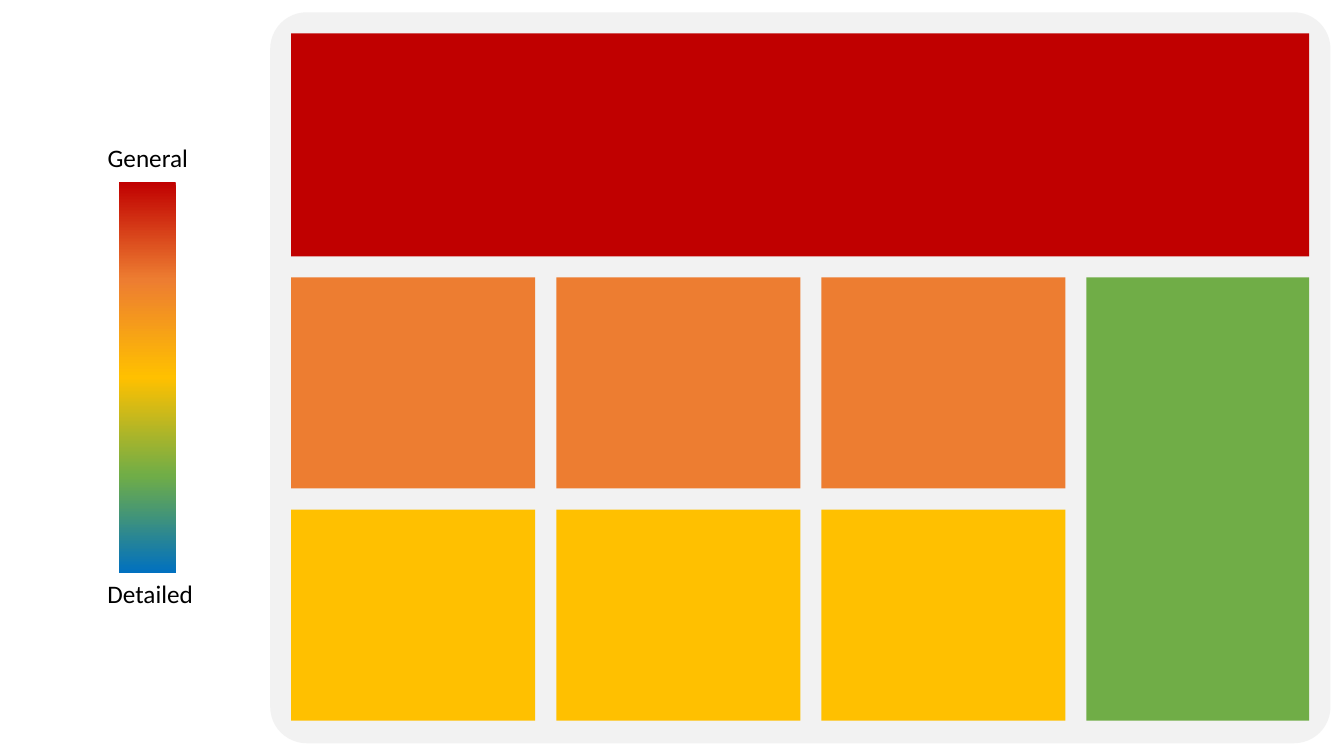
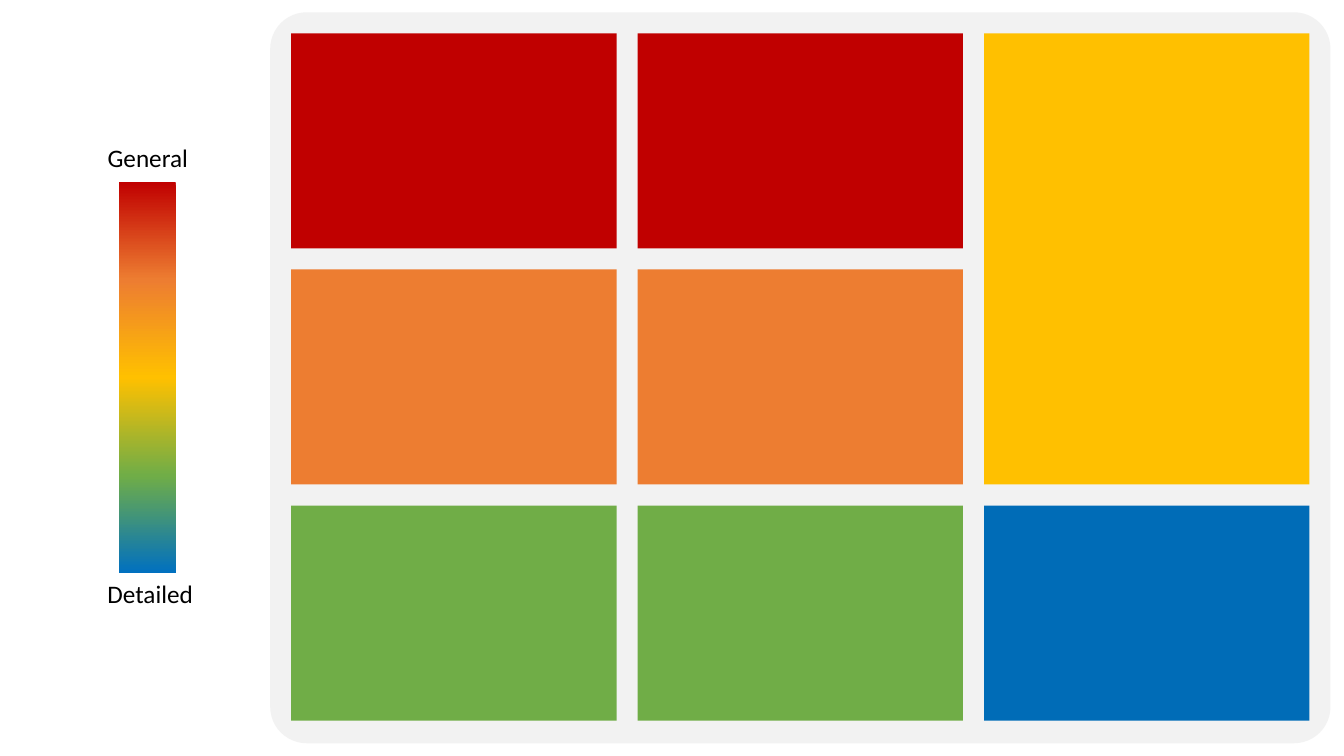
from lxml import etree
from pptx import Presentation
from pptx.dml.color import RGBColor
from pptx.enum import shapes, text
from pptx.oxml import ns
from pptx.util import Cm, Pt

RED = RGBColor(0xC0, 0x00, 0x00)
ORANGE = RGBColor(0xED, 0x7D, 0x31)
GOLD = RGBColor(0xFF, 0xC0, 0x00)
GREEN = RGBColor(0x70, 0xAD, 0x47)
BLUE = RGBColor(0x00, 0x70, 0xC0)
NAVY = RGBColor(0x00, 0x6C, 0xB7)
GREY = RGBColor(0xF2, 0xF2, 0xF2)
BLACK = RGBColor(0x00, 0x00, 0x00)

SCALE = (RED, ORANGE, GOLD, GREEN, BLUE)
FONT = "Calibri"
GAP = 0.53
PANEL = (6.81, 0.31, 26.72, 18.42)
LEGEND = (2.44, 3.45, 2.69, 12.03)

WIDE = dict(
    cols=(6.15, 6.15, 6.15, 5.61),
    rows=(5.62, 5.32, 5.32),
    tiles=[(0, 0, 4, 1, RED), (3, 1, 1, 2, GREEN)]
    + [(col, 1, 1, 1, ORANGE) for col in range(3)]
    + [(col, 2, 1, 1, GOLD) for col in range(3)],
)
EVEN = dict(
    cols=(8.2, 8.2, 8.2),
    rows=(5.42, 5.42, 5.42),
    tiles=[(2, 0, 1, 2, GOLD), (2, 2, 1, 1, NAVY)]
    + [(col, row, 1, 1, hue)
       for row, hue in enumerate((RED, ORANGE, GREEN))
       for col in range(2)],
)


def add_box(slide, box, fill=None, kind=shapes.MSO_SHAPE.RECTANGLE):
    shape = slide.shapes.add_shape(kind, *map(Cm, box))
    shape.shadow.inherit = False
    shape.line.fill.background()
    if fill is not None:
        shape.fill.solid()
        shape.fill.fore_color.rgb = fill
    return shape


def add_text(slide, words, box, size=18, color=BLACK, font=FONT,
             align=text.PP_ALIGN.CENTER):
    label = slide.shapes.add_textbox(*map(Cm, box))
    frame = label.text_frame
    frame.word_wrap = False
    frame.auto_size = text.MSO_AUTO_SIZE.SHAPE_TO_FIT_TEXT
    para = frame.paragraphs[0]
    para.alignment = align
    run = para.add_run()
    run.text = words
    run.font.size = Pt(size)
    run.font.name = font
    run.font.color.rgb = color
    return label


def shade(shape, hues):
    shape.fill.gradient()
    shape.fill.gradient_angle = 270
    stops = shape.element.spPr.find(".//" + ns.qn("a:gsLst"))
    for stop in list(stops):
        stops.remove(stop)
    for i, hue in enumerate(hues):
        place = str(100000 * i // (len(hues) - 1))
        stop = etree.SubElement(stops, ns.qn("a:gs"), pos=place)
        etree.SubElement(stop, ns.qn("a:srgbClr"), val=str(hue))


def add_legend(slide, box):
    left, top, width, height = box
    line = 1.03
    add_text(slide, "General", (left, top, width - 0.12, line))
    bar = (left + 0.56, top + 1.13, 1.43, height - 1.13 - line)
    shade(add_box(slide, bar), SCALE)
    add_text(slide, "Detailed", (left, top + height - line, width, line))


def find_span(sizes, first, count):
    start = sum(sizes[:first]) + GAP * first
    return start, sum(sizes[first:first + count]) + GAP * (count - 1)


def add_panel(slide, box, cols, rows, tiles):
    panel = add_box(slide, box, GREY, shapes.MSO_SHAPE.ROUNDED_RECTANGLE)
    panel.adjustments[0] = 0.05
    left, top = box[0] + GAP, box[1] + GAP
    for col, row, wide, high, hue in tiles:
        x, width = find_span(cols, col, wide)
        y, height = find_span(rows, row, high)
        add_box(slide, (left + x, top + y, width, height), hue)


def main():
    deck = Presentation()
    deck.slide_width, deck.slide_height = Cm(33.87), Cm(19.05)
    for grid in (WIDE, EVEN):
        slide = deck.slides.add_slide(deck.slide_layouts[6])
        add_panel(slide, PANEL, **grid)
        add_legend(slide, LEGEND)
    deck.save("out.pptx")


if __name__ == "__main__":
    main()
